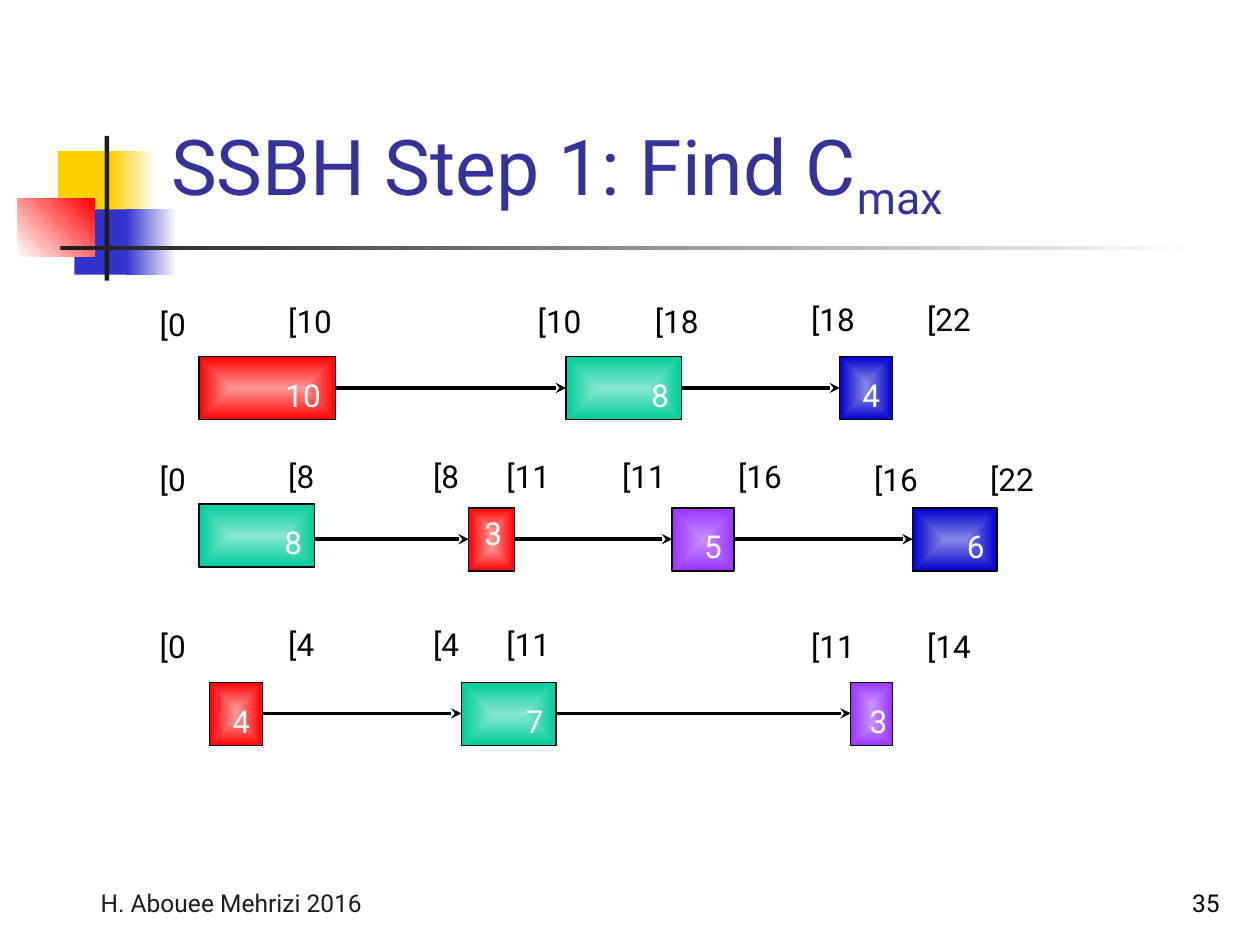
from lxml import etree
from pptx import Presentation
from pptx.dml.color import RGBColor
from pptx.enum.shapes import MSO_CONNECTOR, MSO_SHAPE
from pptx.enum.text import MSO_ANCHOR, MSO_AUTO_SIZE, PP_ALIGN
from pptx.oxml.ns import qn
from pptx.util import Cm, Pt

BLACK = RGBColor(0, 0, 0)
WHITE = RGBColor(255, 255, 255)
DARK = RGBColor(0x1C, 0x1C, 0x1C)
NAVY = RGBColor(0x33, 0x33, 0x99)
GOLD = RGBColor(0xFF, 0xCF, 0x01)
BLUE = RGBColor(0x33, 0x33, 0xCC)
RED = RGBColor(0xFF, 0, 0)
PINK = RGBColor(0xFF, 0x96, 0x96)
GREEN = RGBColor(0, 0xCC, 0x99)
MINT = RGBColor(0x87, 0xE7, 0xCF)
DEEP = RGBColor(0, 0, 0xCC)
SKY = RGBColor(0x87, 0x87, 0xE7)
PURPLE = RGBColor(0x99, 0x33, 0xFF)
LILAC = RGBColor(0xC8, 0x91, 0xFF)


def write(shape, text, size, color, align=PP_ALIGN.LEFT, **format):
    frame = shape.text_frame
    for name, value in format.items():
        setattr(frame, name, value)
    para = frame.paragraphs[0]
    para.alignment = align
    run = para.add_run()
    run.text = text
    for name, value in {"name": "Roboto", "size": Pt(size)}.items():
        setattr(run.font, name, value)
    run.font.color.rgb = color
    return run


def blend(shape, first, last, angle=0):
    fill = shape.fill
    fill.gradient()
    fill.gradient_angle = angle
    for stop, color, place in zip(fill.gradient_stops, (first, last), (0, 1)):
        stop.color.rgb = color
        stop.position = place


deck = Presentation()
deck.slide_width, deck.slide_height = Cm(25.4), Cm(19.05)
slide = deck.slides.add_slide(deck.slide_layouts[5])
shapes = slide.shapes

decor = [
    (1.17, 3.05, 1.22, 1.32, GOLD, GOLD, 0),
    (2.24, 3.05, 0.91, 1.32, GOLD, WHITE, 0),
    (1.5, 4.22, 1.17, 1.32, BLUE, BLUE, 0),
    (2.54, 4.22, 1.02, 1.32, BLUE, WHITE, 0),
    (0.36, 4.01, 1.55, 1.17, WHITE, RED, 45),
    (2.11, 2.74, 0.09, 2.92, DARK, DARK, 0),
    (1.22, 4.95, 22.86, 0.09, DARK, WHITE, 0),
]
for left, top, width, height, first, last, angle in decor:
    block = shapes.add_shape(
        MSO_SHAPE.RECTANGLE, Cm(left), Cm(top), Cm(width), Cm(height))
    block.shadow.inherit = False
    block.line.fill.background()
    if first == last:
        block.fill.solid()
        block.fill.fore_color.rgb = first
    else:
        blend(block, first, last, angle)

title = shapes.title
place = {"left": Cm(3.2), "top": Cm(0.58), "width": Cm(21.64), "height": Cm(4.06)}
for name, value in place.items():
    setattr(title, name, value)
write(title, "SSBH Step 1: Find C", 44, NAVY, word_wrap=True,
      vertical_anchor=MSO_ANCHOR.BOTTOM, auto_size=MSO_AUTO_SIZE.NONE)
index = title.text_frame.paragraphs[0].add_run()
index.text = "max"
index.font.name, index.font.size = "Roboto", Pt(44)
index.font.color.rgb = NAVY
index._r.get_or_add_rPr().set("baseline", "-25000")

notes = [
    (0.64, 8.05, "H. Abouee Mehrizi 2016", DARK, PP_ALIGN.CENTER),
    (19.56, 5.28, "35", BLACK, PP_ALIGN.RIGHT),
]
for left, width, text, color, align in notes:
    box = shapes.add_textbox(Cm(left), Cm(17.35), Cm(width), Cm(1.27))
    write(box, text, 14, color, align, word_wrap=True,
          vertical_anchor=MSO_ANCHOR.BOTTOM)

LOW, HIGH = MSO_ANCHOR.BOTTOM, MSO_ANCHOR.TOP
rows = [
    (7.82, [
        (4.01, 7.19, 2.76, "10", PINK, RED, LOW, 0.3),
        (11.41, 7.19, 2.33, "8", MINT, GREEN, LOW, 0.25),
        (16.93, 7.19, 1.06, "4", SKY, DEEP, LOW, 0.25)]),
    (10.87, [
        (4.01, 10.16, 2.33, "8", MINT, GREEN, LOW, 0.25),
        (9.45, 10.24, 0.92, "3", PINK, RED, HIGH, 0.25),
        (13.55, 10.24, 1.25, "5", LILAC, PURPLE, LOW, 0.25),
        (18.4, 10.24, 1.7, "6", SKY, DEEP, LOW, 0.25)]),
    (14.38, [
        (4.23, 13.76, 1.06, "4", PINK, RED, LOW, 0.25),
        (9.3, 13.76, 1.91, "7", MINT, GREEN, LOW, 0.25),
        (17.15, 13.76, 0.84, "3", LILAC, PURPLE, LOW, 0.1)]),
]
for mid, jobs in rows:
    for job, after in zip(jobs, jobs[1:]):
        arrow = shapes.add_connector(
            MSO_CONNECTOR.STRAIGHT, Cm(job[0] + job[2]), Cm(mid), Cm(after[0]), Cm(mid))
        arrow.line.width = Pt(2)
        arrow.line.color.rgb = BLACK
        etree.SubElement(arrow.line._get_or_add_ln(), qn("a:tailEnd"), type="stealth")
        etree.SubElement(arrow._element.spPr, qn("a:effectLst"))
    for left, top, width, text, light, full, anchor, inset in jobs:
        job = shapes.add_shape(
            MSO_SHAPE.ROUNDED_RECTANGLE, Cm(left), Cm(top), Cm(width), Cm(1.27))
        job.adjustments[0] = 0
        job.shadow.inherit = False
        job.line.width = Pt(0.75)
        job.line.color.rgb = BLACK
        blend(job, light, full)
        grad = job._element.spPr.find(qn("a:gradFill"))
        grad.remove(grad.find(qn("a:lin")))
        focus = etree.SubElement(grad, qn("a:path"), path="rect")
        etree.SubElement(focus, qn("a:fillToRect"),
                         dict.fromkeys("ltrb", "50000"))
        write(job, text, 18, WHITE, PP_ALIGN.RIGHT, word_wrap=True,
              vertical_anchor=anchor, margin_left=0, margin_right=Cm(inset))

times = [
    (5.97, [(2.97, 0.05, 0), (5.56, 0, 10), (10.59, 0, 10), (12.95, 0, 18),
            (16.1, -0.05, 18), (18.44, -0.05, 22)]),
    (9.09, [(2.97, 0.05, 0), (5.56, 0, 8), (8.48, 0, 8), (9.96, 0, 11),
            (12.29, 0, 11), (14.63, 0, 16), (17.37, 0.05, 16), (19.71, 0.05, 22)]),
    (12.47, [(2.97, 0.05, 0), (5.56, 0, 4), (8.48, 0, 4), (9.96, 0, 11),
             (16.1, 0.05, 11), (18.44, 0.05, 14)]),
]
for top, marks in times:
    for left, shift, time in marks:
        width = 1.07 if time < 10 else 1.45
        mark = shapes.add_textbox(Cm(left), Cm(top + shift), Cm(width), Cm(1.02))
        write(mark, f"[{time}", 18, BLACK, word_wrap=False,
              auto_size=MSO_AUTO_SIZE.SHAPE_TO_FIT_TEXT)

deck.save("out.pptx")
